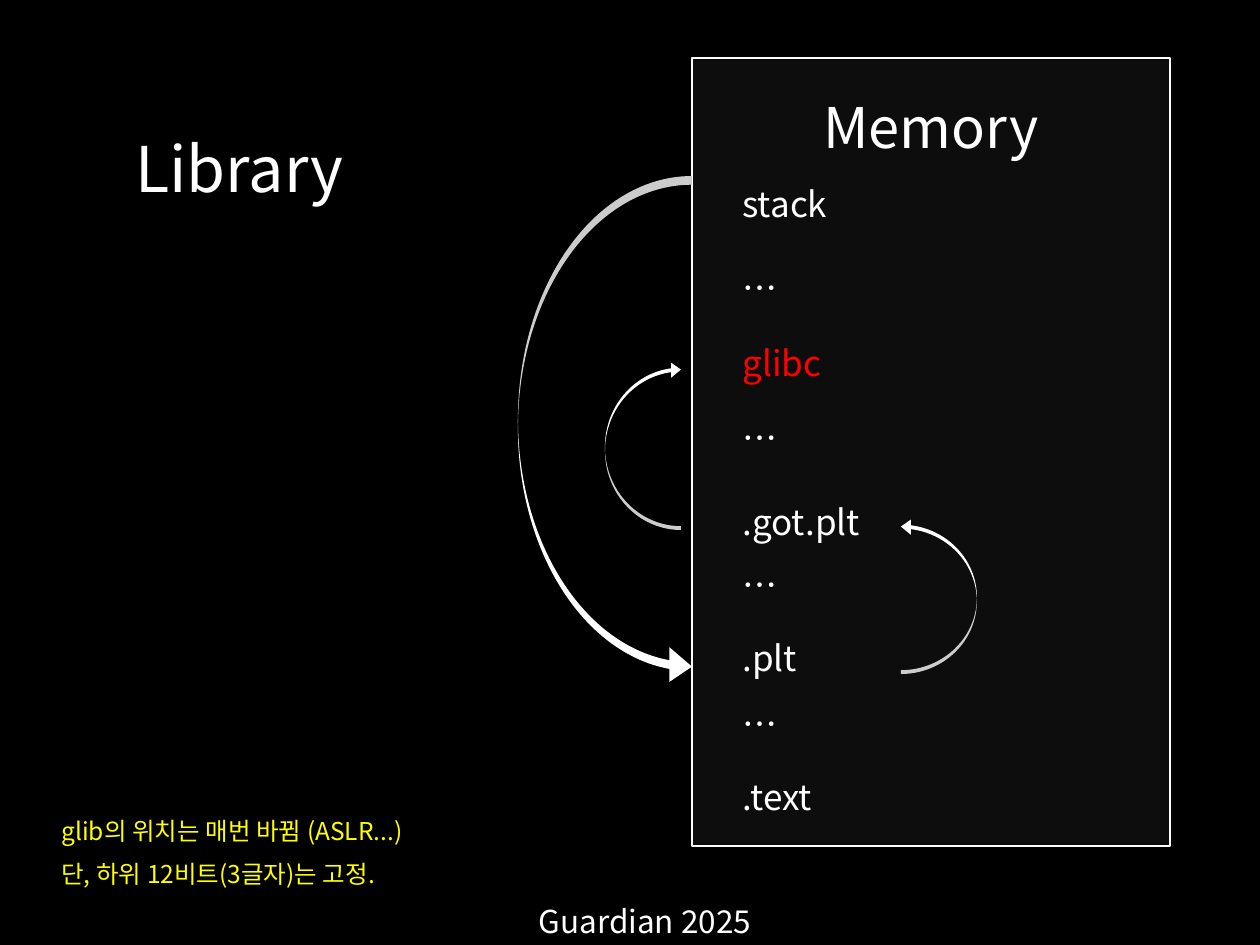
from pptx import Presentation
from pptx.dml.color import RGBColor as Rgb
from pptx.enum.shapes import MSO_SHAPE as Kind
from pptx.enum.text import PP_ALIGN as Align
from pptx.oxml.ns import qn
from pptx.util import Pt
from lxml.etree import SubElement as Sub

PX = 914400 / 126
FONT = "Noto Sans CJK KR"
HUES = {"back": "000000", "panel": "0D0D0D", "white": "FFFFFF", "red": "FF0000", "note": "FFFF00"}


def emu(*box):
    return [round(n * PX) for n in box]


def label(text, box, size, hue="white", align=Align.LEFT):
    frame = slide.shapes.add_textbox(*emu(*box)).text_frame
    frame.word_wrap = True
    para = frame.paragraphs[0]
    para.text = text
    para.alignment = align
    font = para.font
    font.size = Pt(size)
    font.color.rgb = Rgb.from_string(HUES[hue])
    font.name = FONT
    Sub(font._element, qn("a:ea")).set("typeface", FONT)


deck = Presentation()
deck.slide_width, deck.slide_height = emu(1260, 945)
slide = deck.slides.add_slide(deck.slide_layouts[6])
back = slide.background.fill
back.solid()
back.fore_color.rgb = Rgb.from_string(HUES["back"])

panel = slide.shapes.add_shape(Kind.RECTANGLE, *emu(692, 58, 478, 788))
panel.shadow.inherit = False
panel.fill.solid()
panel.fill.fore_color.rgb = Rgb.from_string(HUES["panel"])
panel.line.color.rgb = Rgb.from_string(HUES["white"])
panel.line.width = Pt(1.5)

label("Library", (123, 123, 1137, 89), 36)
label("Guardian 2025", (397, 896, 496, 50), 18, align=Align.CENTER)
label("Memory", (692, 86, 478, 81), 32, align=Align.CENTER)

parts = [
    ("stack", 176, "white"),
    ("…", 260, "white"),
    ("glibc", 335, "red"),
    ("…", 410, "white"),
    (".got.plt", 494, "white"),
    ("…", 557, "white"),
    (".plt", 630, "white"),
    ("…", 696, "white"),
    (".text", 769, "white"),
]
for text, top, hue in parts:
    label(text, (730, top, 417, 55), 20, hue)

arrows = [
    ((518, 176, 174, 508), ()),
    ((901, 519, 76, 155), ("flipH", "flipV")),
    ((605, 362, 76, 168), ("flipV",)),
]
for box, flips in arrows:
    arrow = slide.shapes.add_shape(Kind.CURVED_RIGHT_ARROW, *emu(*box))
    arrow.shadow.inherit = False
    for i, value in enumerate((0.05, 0.2, 0.13)):
        arrow.adjustments[i] = value
    arrow.fill.solid()
    arrow.fill.fore_color.rgb = Rgb.from_string(HUES["white"])
    arrow.line.fill.background()
    for flip in flips:
        arrow._element.spPr.find(qn("a:xfrm")).set(flip, "1")

label("glib의 위치는 매번 바뀜 (ASLR...)", (49, 810, 411, 43), 14, "note")
label("단, 하위 12비트(3글자)는 고정.", (49, 853, 552, 43), 14, "note")

deck.save("out.pptx")
